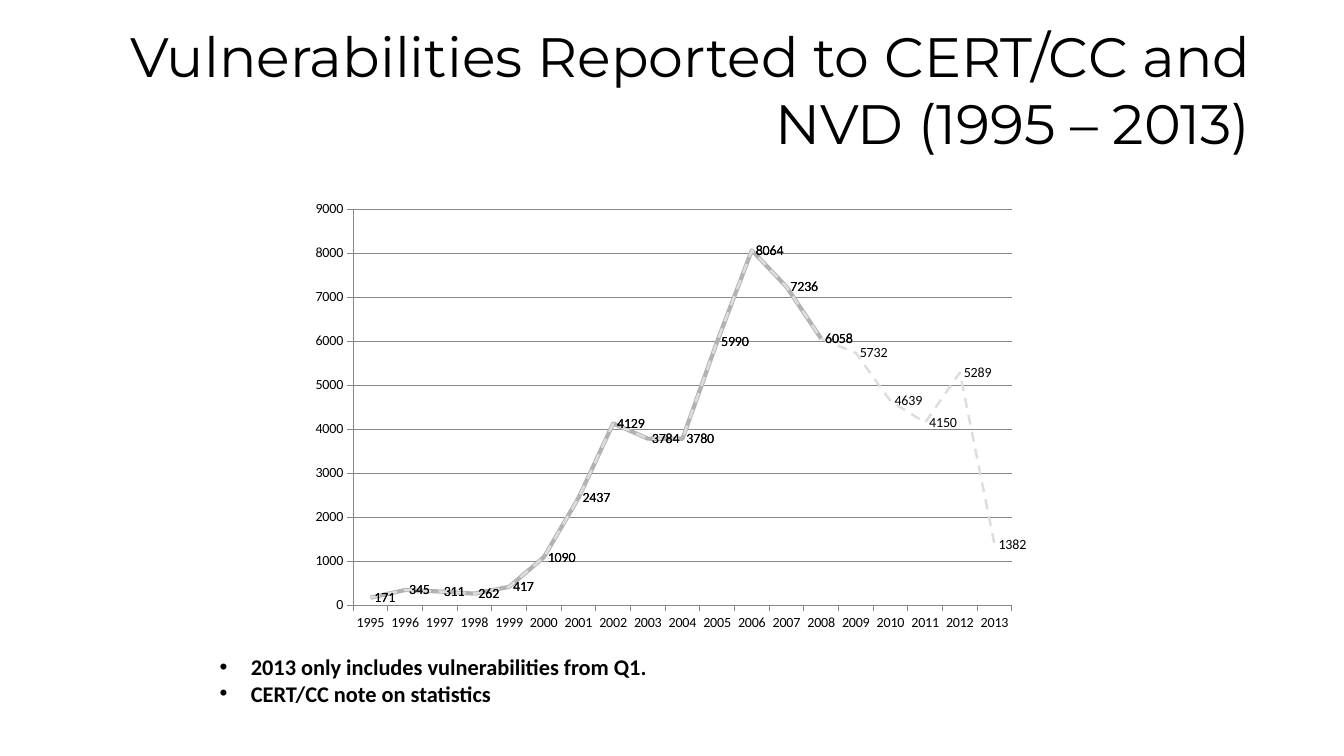
import pptx
import pptx.chart.data
import pptx.dml.color
import pptx.enum.chart
import pptx.enum.dml
import pptx.enum.text
import pptx.oxml
import pptx.util
from pptx.util import Inches

# Content
TITLE = "Vulnerabilities Reported to CERT/CC and NVD (1995 – 2013)"
NOTES = ["2013 only includes vulnerabilities from Q1.", "CERT/CC note on statistics"]
YEARS = [str(year) for year in range(1995, 2014)]
REPORTED = [171, 345, 311, 262, 417, 1090, 2437, 4129, 3784, 3780,
            5990, 8064, 7236, 6058, 5732, 4639, 4150, 5289, 1382]
CERT_YEARS = 14  # the first series ends in 2008

COLORS = {"text": "000000", "cert": "B2B2B2", "nvd": "DDDDDD", "axis": "878787"}
DASH = pptx.enum.dml.MSO_LINE.DASH
SERIES = [
    ("Series 1", REPORTED[:CERT_YEARS], {"color": "cert", "width": 3, "dash": None}),
    ("Series 2", REPORTED, {"color": "nvd", "width": 1.75, "dash": DASH}),
]
FONTS = {
    "title": {"name": "Montserrat", "size": pptx.util.Pt(39.6), "bold": False},
    "notes": {"name": "Calibri", "size": pptx.util.Pt(16), "bold": True},
    "chart": {"name": "Calibri", "size": pptx.util.Pt(10), "bold": False},
}
PLOT_AREA = {"x": 0.07, "y": 0.035, "w": 0.91, "h": 0.885}


def rgb(key):
    return pptx.dml.color.RGBColor.from_string(COLORS[key])


def set_font(font, style):
    for attribute, value in FONTS[style].items():
        setattr(font, attribute, value)
    font.color.rgb = rgb("text")


def set_line(line, color, width, dash=None):
    line.color.rgb = rgb(color)
    line.width = pptx.util.Pt(width)
    if dash:
        line.dash_style = dash


def add_text(slide, box, lines, style, frame_format):
    frame = slide.shapes.add_textbox(*map(Inches, box)).text_frame
    for attribute, value in frame_format.items():
        setattr(frame, attribute, value)
    frame.text = "\n".join(lines)
    for paragraph in frame.paragraphs:
        set_font(paragraph.runs[0].font, style)
    return frame.paragraphs


deck = pptx.Presentation()
deck.slide_width, deck.slide_height = Inches(13.33), Inches(7.5)
slide = deck.slides.add_slide(deck.slide_layouts[6])

# Title
heading = add_text(slide, (0.67, 0.3, 11.83, 1.24), [TITLE], "title", {
    "word_wrap": True, "vertical_anchor": pptx.enum.text.MSO_ANCHOR.BOTTOM,
    "margin_top": 0, "margin_bottom": 0})
heading[0].alignment = pptx.enum.text.PP_ALIGN.RIGHT

# Bulleted notes
notes = add_text(slide, (2.08, 6.43, 5.08, 0.64), NOTES, "notes", {"word_wrap": True})
for note in notes:
    properties = note._p.get_or_add_pPr()
    properties.set("marL", str(Inches(0.31)))
    properties.set("indent", str(Inches(-0.31)))
    for tag, attribute, value in (("buFont", "typeface", "Arial"), ("buChar", "char", "•")):
        bullet = pptx.oxml.parse_xml(
            f'<a:{tag} xmlns:a="http://schemas.openxmlformats.org/drawingml/2006/main" '
            f'{attribute}="{value}"/>')
        properties.append(bullet)

# Line chart
history = pptx.chart.data.CategoryChartData()
history.categories = YEARS
for name, values, _ in SERIES:
    history.add_series(name, values + [None] * (len(YEARS) - len(values)))
chart = slide.shapes.add_chart(
    pptx.enum.chart.XL_CHART_TYPE.LINE,
    *map(Inches, (3, 1.92, 7.18, 4.44)), history).chart
chart.has_legend = chart.has_title = False
set_font(chart.font, "chart")
chart.plots[0].vary_by_categories = False

# Axes
for axis in (chart.category_axis, chart.value_axis):
    axis.major_tick_mark = pptx.enum.chart.XL_TICK_MARK.OUTSIDE
    axis.minor_tick_mark = pptx.enum.chart.XL_TICK_MARK.NONE
    set_line(axis.format.line, "axis", 0.75)
for attribute, value in {"minimum_scale": 0, "maximum_scale": 9000, "major_unit": 1000}.items():
    setattr(chart.value_axis, attribute, value)
set_line(chart.value_axis.major_gridlines.format.line, "axis", 0.75)

# Series lines and value labels
for series, (_, _, style) in zip(chart.plots[0].series, SERIES):
    series.smooth = False
    series.marker.style = pptx.enum.chart.XL_MARKER_STYLE.NONE
    set_line(series.format.line, **style)
    labels = series.data_labels
    labels.show_value = True
    labels.position = pptx.enum.chart.XL_LABEL_POSITION.RIGHT
    set_font(labels.font, "chart")

# Fixed plot area inside the chart frame
modes = "".join(f'<c:{side}Mode val="edge"/>' for side in "xy")
sizes = "".join(f'<c:{side} val="{share}"/>' for side, share in PLOT_AREA.items())
layout = pptx.oxml.parse_xml(
    '<c:layout xmlns:c="http://schemas.openxmlformats.org/drawingml/2006/chart">'
    f'<c:manualLayout><c:layoutTarget val="inner"/>{modes}{sizes}</c:manualLayout></c:layout>')
plot_area = chart._chartSpace.chart.plotArea
for automatic in plot_area.xpath("c:layout"):
    plot_area.remove(automatic)
plot_area.insert(0, layout)

deck.save("out.pptx")
